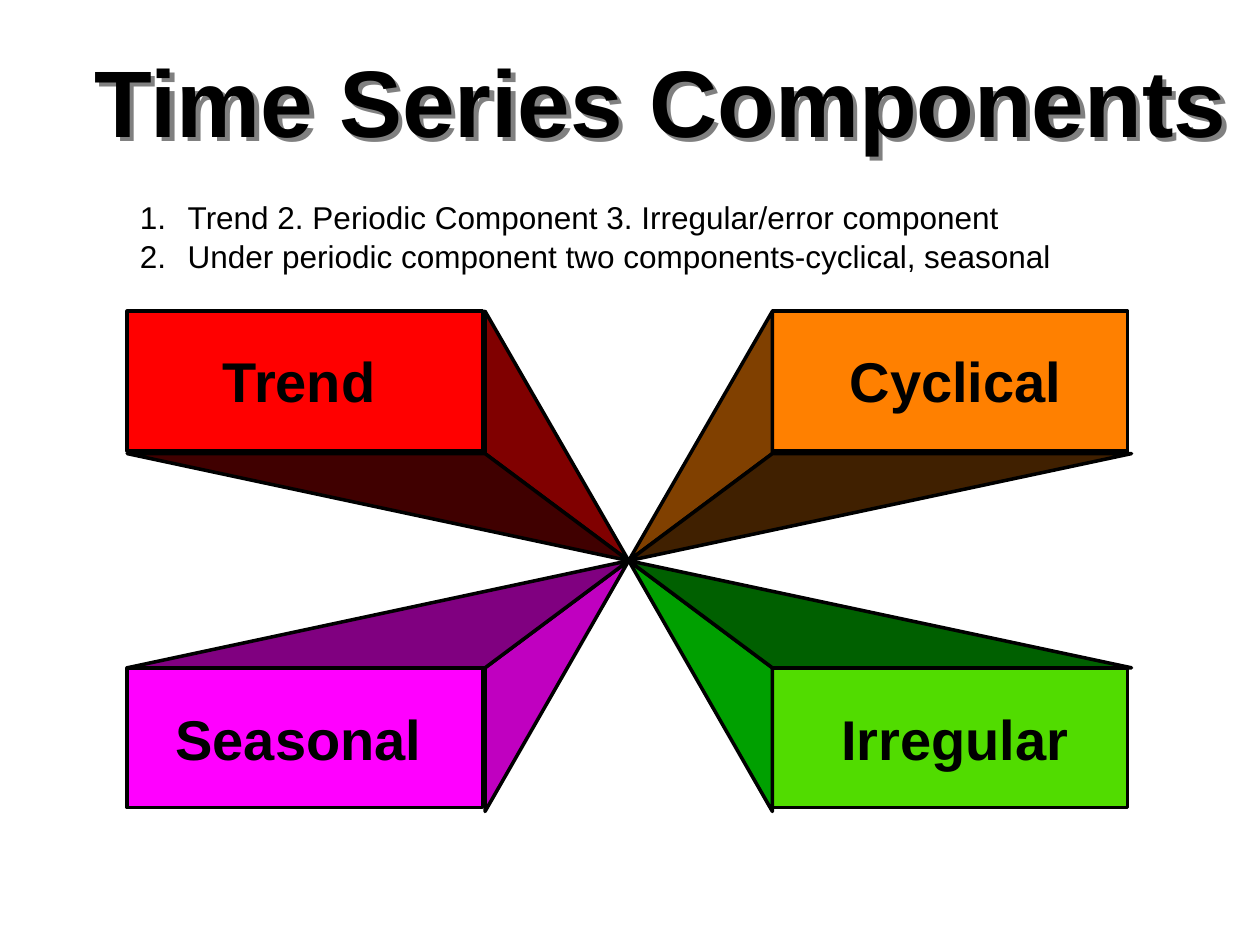
from lxml import etree
from pptx import Presentation
from pptx.dml.color import RGBColor
from pptx.enum.shapes import MSO_SHAPE
from pptx.enum.text import MSO_ANCHOR, MSO_AUTO_SIZE, PP_ALIGN
from pptx.oxml.ns import qn
from pptx.util import Inches, Pt

RECTANGLE = MSO_SHAPE.RECTANGLE
CENTER = PP_ALIGN.CENTER
MIDDLE = MSO_ANCHOR.MIDDLE
NO_AUTOFIT = MSO_AUTO_SIZE.NONE

BLACK = RGBColor(0x00, 0x00, 0x00)
RED = RGBColor(0xFF, 0x00, 0x00)
RED_SIDE = RGBColor(0x80, 0x00, 0x00)
RED_BASE = RGBColor(0x40, 0x00, 0x00)
MAGENTA = RGBColor(0xFF, 0x00, 0xFF)
MAGENTA_SIDE = RGBColor(0xC0, 0x00, 0xC0)
MAGENTA_BASE = RGBColor(0x80, 0x00, 0x80)
ORANGE = RGBColor(0xFF, 0x80, 0x00)
ORANGE_SIDE = RGBColor(0x80, 0x40, 0x00)
ORANGE_BASE = RGBColor(0x40, 0x20, 0x00)
GREEN = RGBColor(0x51, 0xDC, 0x00)
GREEN_SIDE = RGBColor(0x00, 0xA0, 0x00)
GREEN_BASE = RGBColor(0x00, 0x60, 0x00)

FONT = "Arial"
VANISHING_POINT = (4.99, 4.45)
FRONT_WIDTH, FRONT_HEIGHT = 2.82, 1.11
LABEL_HEIGHT = 0.64
LEFT_EDGES = (1.01, 3.85)
RIGHT_EDGES = (8.98, 6.13)
UPPER_EDGES = (2.47, 3.6)
LOWER_EDGES = (6.44, 5.3)

BLOCKS = [
    ("Trend", LEFT_EDGES, UPPER_EDGES, (RED, RED_SIDE, RED_BASE), (1.58, 2.7, 1.59)),
    ("Seasonal", LEFT_EDGES, LOWER_EDGES, (MAGENTA, MAGENTA_SIDE, MAGENTA_BASE), (1.24, 5.54, 2.26)),
    ("Cyclical", RIGHT_EDGES, UPPER_EDGES, (ORANGE, ORANGE_SIDE, ORANGE_BASE), (6.58, 2.7, 2.01)),
    ("Irregular", RIGHT_EDGES, LOWER_EDGES, (GREEN, GREEN_SIDE, GREEN_BASE), (6.49, 5.54, 2.18)),
]
COMPONENT_NOTES = [
    "Trend 2. Periodic Component 3. Irregular/error component",
    "Under periodic component two components-cyclical, seasonal",
]


def place(shape, left, top, width, height):
    shape.left, shape.top = Inches(left), Inches(top)
    shape.width, shape.height = Inches(width), Inches(height)


def add_run(paragraph, text, size, bold=False):
    run = paragraph.add_run()
    run.text = text
    run.font.name = FONT
    run.font.size = Pt(size)
    run.font.bold = bold
    run.font.color.rgb = BLACK


def paint(shape, color):
    shape.shadow.inherit = False
    shape.fill.solid()
    shape.fill.fore_color.rgb = color
    shape.line.color.rgb = BLACK
    shape.line.width = Pt(2)


def add_face(shapes, corners, color):
    points = [(Inches(x), Inches(y)) for x, y in corners]
    builder = shapes.build_freeform(*points[0])
    builder.add_line_segments(points[1:], close=True)
    paint(builder.convert_to_shape(), color)


def add_block(slide, x_edges, y_edges, colors):
    outer_x, inner_x = x_edges
    far_y, near_y = y_edges
    front_color, side_color, base_color = colors
    shapes = slide.shapes.add_group_shape().shapes
    front = shapes.add_shape(
        RECTANGLE, Inches(min(x_edges)), Inches(min(y_edges)),
        Inches(FRONT_WIDTH), Inches(FRONT_HEIGHT))
    paint(front, front_color)
    near_corner = (inner_x, near_y)
    add_face(shapes, [(inner_x, far_y), VANISHING_POINT, near_corner], side_color)
    add_face(shapes, [(outer_x, near_y), near_corner, VANISHING_POINT], base_color)


def add_label(slide, text, left, top, width):
    label = slide.shapes.add_textbox(
        Inches(left), Inches(top), Inches(width), Inches(LABEL_HEIGHT))
    label.text_frame.word_wrap = True
    paragraph = label.text_frame.paragraphs[0]
    paragraph.alignment = CENTER
    paragraph.space_before = Pt(3)
    add_run(paragraph, text, 32, bold=True)


def add_text_shadow(shape):
    effects = etree.SubElement(shape.element.spPr, qn("a:effectLst"))
    shadow = etree.SubElement(
        effects, qn("a:outerShdw"), dist=str(Inches(0.05)), dir="2700000", algn="ctr", rotWithShape="0")
    etree.SubElement(shadow, qn("a:srgbClr"), val="808080")


def fill_title(title):
    place(title, 0.58, 0.17, 9.33, 1.24)
    title.text_frame.auto_size = NO_AUTOFIT
    title.text_frame.vertical_anchor = MIDDLE
    paragraph = title.text_frame.paragraphs[0]
    paragraph.alignment = CENTER
    add_run(paragraph, "Time Series Components", 54, bold=True)
    add_text_shadow(title)


def number_paragraph(paragraph):
    properties = paragraph._p.get_or_add_pPr()
    properties.set("marL", str(Inches(0.38)))
    properties.set("indent", str(-Inches(0.38)))
    etree.SubElement(properties, qn("a:buFont"), typeface=FONT)
    etree.SubElement(properties, qn("a:buAutoNum"), type="arabicPeriod")


def fill_notes(body):
    place(body, 1.01, 1.52, 7.99, 0.71)
    frame = body.text_frame
    frame.auto_size = NO_AUTOFIT
    for index, note in enumerate(COMPONENT_NOTES):
        paragraph = frame.add_paragraph() if index else frame.paragraphs[0]
        paragraph.space_before = Pt(1)
        number_paragraph(paragraph)
        add_run(paragraph, note, 18)


def main():
    presentation = Presentation()
    presentation.slide_width = Inches(10)
    presentation.slide_height = Inches(7.5)
    slide = presentation.slides.add_slide(presentation.slide_layouts[1])
    fill_title(slide.shapes.title)
    fill_notes(slide.placeholders[1])
    for name, x_edges, y_edges, colors, label_place in BLOCKS:
        add_block(slide, x_edges, y_edges, colors)
        add_label(slide, name, *label_place)
    presentation.save("out.pptx")


if __name__ == "__main__":
    main()
